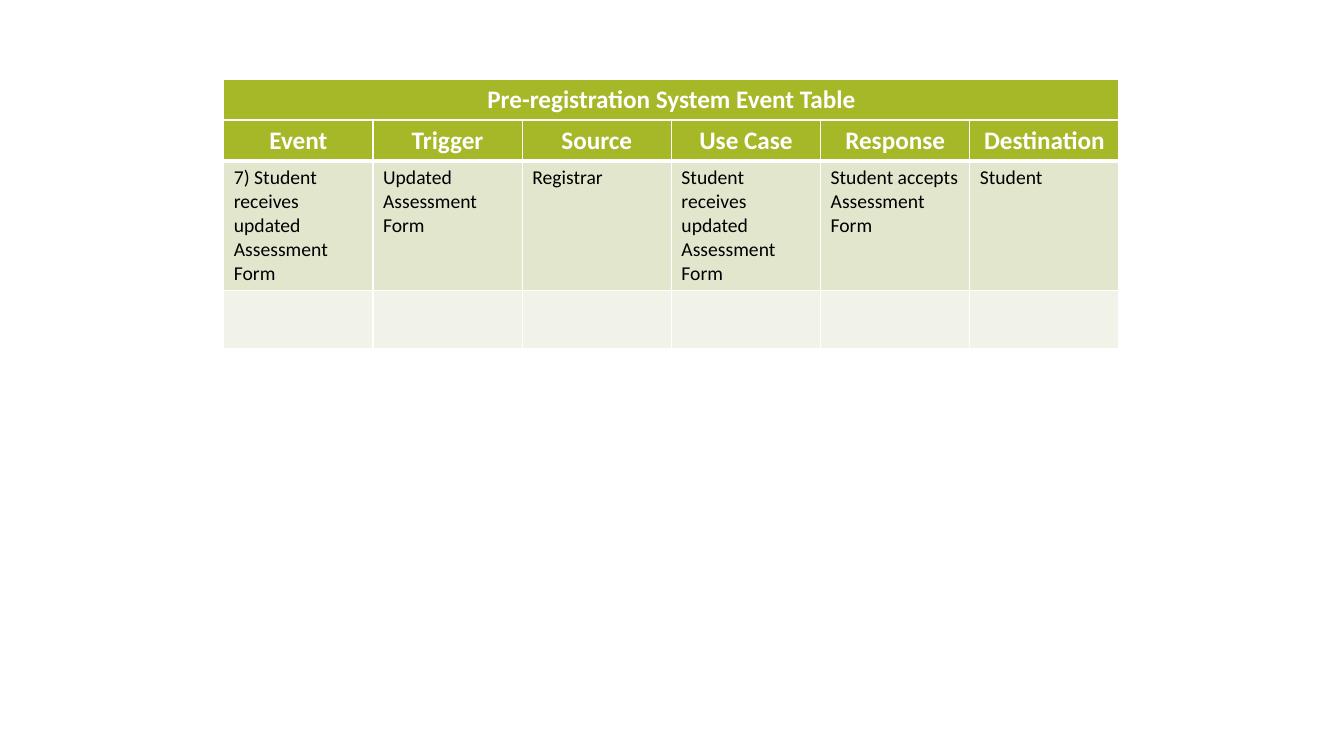
"""Build the slide with the event table of the pre-registration system."""
from dataclasses import dataclass

from lxml import etree
from pptx import Presentation
from pptx.dml.color import RGBColor
from pptx.enum import text
from pptx.oxml import ns
from pptx.util import Cm, Pt

LEFT = 5.64
COLUMN_WIDTH = 3.76
COLUMN_COUNT = 6
FONT = "Calibri"
WHITE = "FFFFFF"


@dataclass(frozen=True)
class RowStyle:
    fill: str
    color: str
    size: int
    bold: bool
    align: text.PP_ALIGN
    bottom_border: float


@dataclass(frozen=True)
class EventRow:
    entries: tuple[str, ...]
    height: float
    style: RowStyle


HEADING = RowStyle("A6B727", WHITE, 18, True, text.PP_ALIGN.CENTER, 3)
EVENT = RowStyle("E1E6CD", "000000", 14, False, text.PP_ALIGN.LEFT, 1)
SPARE = RowStyle("F1F3E8", "000000", 14, False, text.PP_ALIGN.LEFT, 1)

TITLE_ROWS = [EventRow(("Pre-registration System Event Table",), 1.03, HEADING)]
EVENT_ROWS = [
    EventRow(("Event", "Trigger", "Source", "Use Case", "Response", "Destination"),
             1.03, HEADING),
    EventRow(("7) Student receives updated Assessment Form",
              "Updated Assessment Form",
              "Registrar",
              "Student receives updated Assessment Form",
              "Student accepts\nAssessment Form",
              "Student"), 3.25, EVENT),
    EventRow(("",) * COLUMN_COUNT, 1.47, SPARE),
]


def rgb(value: str) -> RGBColor:
    return RGBColor.from_string(value)


def draw_borders(cell, bottom: float) -> None:
    properties = cell._tc.get_or_add_tcPr()
    for side, width in (("L", 1), ("R", 1), ("T", 1), ("B", bottom)):
        border = etree.SubElement(properties, ns.qn(f"a:ln{side}"), w=str(Pt(width)))
        paint = etree.SubElement(border, ns.qn("a:solidFill"))
        etree.SubElement(paint, ns.qn("a:srgbClr"), val=WHITE)


def fill_cell(cell, entry: str, style: RowStyle) -> None:
    draw_borders(cell, style.bottom_border)
    cell.fill.solid()
    cell.fill.fore_color.rgb = rgb(style.fill)
    cell.text_frame.text = entry
    for paragraph in cell.text_frame.paragraphs:
        paragraph.alignment = style.align
        for run in paragraph.runs:
            run.font.name = FONT
            run.font.size = Pt(style.size)
            run.font.bold = style.bold
            run.font.color.rgb = rgb(style.color)


def draw_table(slide, top: float, rows: list[EventRow]) -> None:
    count = len(rows[0].entries)
    height = sum(row.height for row in rows)
    table = slide.shapes.add_table(
        len(rows), count, Cm(LEFT), Cm(top),
        Cm(COLUMN_WIDTH * COLUMN_COUNT), Cm(height)).table
    table.first_row = False
    table.horz_banding = False
    for column in table.columns:
        column.width = Cm(COLUMN_WIDTH * COLUMN_COUNT / count)
    for line, row in zip(table.rows, rows):
        line.height = Cm(row.height)
        for cell, entry in zip(line.cells, row.entries):
            fill_cell(cell, entry, row.style)


def main() -> None:
    deck = Presentation()
    deck.slide_width, deck.slide_height = Cm(33.87), Cm(19.05)
    slide = deck.slides.add_slide(deck.slide_layouts[6])
    draw_table(slide, 2.01, TITLE_ROWS)
    draw_table(slide, 3.03, EVENT_ROWS)
    deck.save("out.pptx")


if __name__ == "__main__":
    main()
